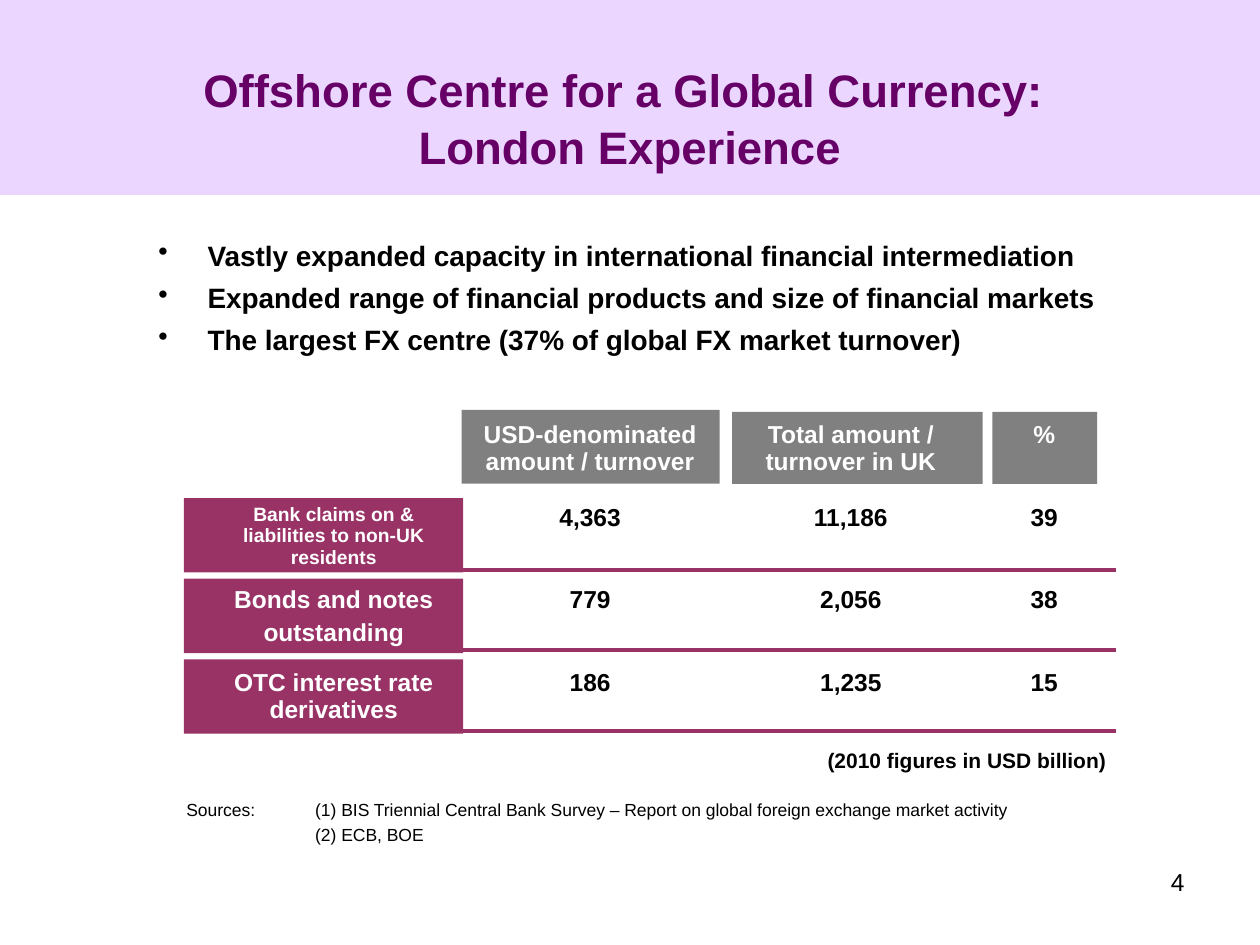
from dataclasses import dataclass

import lxml.etree
import pptx
import pptx.dml.color
import pptx.enum.shapes
import pptx.enum.text
import pptx.oxml
import pptx.oxml.ns
import pptx.util

Pt = pptx.util.Pt
Align = pptx.enum.text.PP_ALIGN
Anchor = pptx.enum.text.MSO_ANCHOR


@dataclass(frozen=True)
class Theme:
    font: str = "Arial"
    band: str = "CC99FF"
    title: str = "660066"
    header: str = "808080"
    accent: str = "993366"
    ink: str = "000000"
    paper: str = "FFFFFF"
    title_size: float = 26
    bullet_size: float = 16
    table_size: float = 14
    long_label_size: float = 11
    note_size: float = 12
    source_size: float = 10


@dataclass(frozen=True)
class Bar:
    left: float
    top: float
    width: float
    height: float
    color: str


@dataclass(frozen=True)
class Row:
    label: str
    values: tuple[str, str, str]
    label_size: float


THEME = Theme()
HEADERS = ("USD-denominated amount / turnover", "Total amount / turnover in UK", "%")
ROWS = (
    Row("Bank claims on & liabilities to non-UK residents",
        ("4,363", "11,186", "39"), THEME.long_label_size),
    Row("Bonds and notes\noutstanding", ("779", "2,056", "38"), THEME.table_size),
    Row("OTC interest rate derivatives", ("186", "1,235", "15"), THEME.table_size),
)
TABLE_LEFT, TABLE_TOP = 113, 236.9
COLUMN_WIDTHS = (155.5, 137.5, 160.5, 60.5)
ROW_HEIGHTS = (47.5, 46.8, 47.5, 46.8, 45.4)
LABEL_TOP, LABEL_PITCH = 284.6, 46.1
LABEL_HEIGHT = 42.5
RULE_DROP = 41
HANG_BULLET, HANG_SOURCE = 28, 73.6
NO_STYLE = "{2D5ABB26-0587-4C30-8999-92F81FD0307C}"


def rgb(color: str) -> pptx.dml.color.RGBColor:
    return pptx.dml.color.RGBColor.from_string(color)


def write(frame, text: str, *, size: float, color: str = THEME.ink, bold: bool = False,
          align=Align.LEFT, anchor=Anchor.TOP, space: float = 0, spacing: float = 1,
          hang: float = 0, bullet: bool = False) -> None:
    """Fill a text frame, one paragraph per line of text."""
    frame.word_wrap = True
    frame.vertical_anchor = anchor
    for index, line in enumerate(text.split("\n")):
        para = frame.add_paragraph() if index else frame.paragraphs[0]
        para.alignment = align
        para.line_spacing = spacing
        para.space_before = Pt(space if index else 0)
        if hang:
            properties = para._p.get_or_add_pPr()
            properties.set("marL", str(Pt(hang)))
            properties.set("indent", str(-Pt(hang)))
            if bullet:
                mark = lxml.etree.SubElement(properties, pptx.oxml.ns.qn("a:buChar"))
                mark.set("char", "•")
        para.text = line
        for span in para.runs:
            span.font.name = THEME.font
            span.font.size = Pt(size)
            span.font.bold = bold
            span.font.color.rgb = rgb(color)


def add_text(page, left: float, top: float, width: float, height: float,
             text: str, **style) -> None:
    box = page.shapes.add_textbox(Pt(left), Pt(top), Pt(width), Pt(height))
    write(box.text_frame, text, **style)


def add_bar(page, bar: Bar, opacity: int = 100) -> None:
    shape = page.shapes.add_shape(pptx.enum.shapes.MSO_SHAPE.RECTANGLE, Pt(bar.left),
                                  Pt(bar.top), Pt(bar.width), Pt(bar.height))
    shape.shadow.inherit = False
    shape.line.fill.background()
    shape.fill.solid()
    shape.fill.fore_color.rgb = rgb(bar.color)
    if opacity < 100:
        tint = next(shape._element.spPr.iter(pptx.oxml.ns.qn("a:srgbClr")))
        alpha = lxml.etree.SubElement(tint, pptx.oxml.ns.qn("a:alpha"))
        alpha.set("val", str(opacity * 1000))


def add_rule(page, left: float, right: float, top: float) -> None:
    rule = page.shapes.add_connector(pptx.enum.shapes.MSO_CONNECTOR.STRAIGHT,
                                     Pt(left), Pt(top), Pt(right), Pt(top))
    rule.line.color.rgb = rgb(THEME.accent)
    rule.line.width = Pt(2.25)
    lxml.etree.SubElement(rule._element.spPr, pptx.oxml.ns.qn("a:effectLst"))


def add_figures(page) -> None:
    graphic = page.shapes.add_table(len(ROW_HEIGHTS), len(COLUMN_WIDTHS), Pt(TABLE_LEFT),
                                    Pt(TABLE_TOP), Pt(sum(COLUMN_WIDTHS)),
                                    Pt(sum(ROW_HEIGHTS)))
    table = graphic.table
    table.first_row = table.horz_banding = False
    next(graphic._element.iter(pptx.oxml.ns.qn("a:tableStyleId"))).text = NO_STYLE
    for column, width in zip(table.columns, COLUMN_WIDTHS):
        column.width = Pt(width)
    for row, height in zip(table.rows, ROW_HEIGHTS):
        row.height = Pt(height)
    for cell in table.iter_cells():
        cell.fill.background()

    def fill_cell(row: int, column: int, text: str, color: str,
                  size: float = THEME.table_size) -> None:
        write(table.cell(row, column).text_frame, text, size=size, color=color,
              bold=True, align=Align.CENTER, space=3.5)

    for column, header in enumerate(HEADERS, 1):
        fill_cell(0, column, header, THEME.paper)
    for index, row in enumerate(ROWS, 1):
        fill_cell(index, 0, row.label, THEME.paper, row.label_size)
        for column, value in enumerate(row.values, 1):
            fill_cell(index, column, value, THEME.ink)


def main() -> None:
    deck = pptx.Presentation()
    deck.slide_width, deck.slide_height = Pt(720), Pt(540)
    page = deck.slides.add_slide(deck.slide_layouts[6])

    # Title band and the bars behind the table
    add_bar(page, Bar(0, 0, 720, 111.4, THEME.band), opacity=40)
    for bar in (Bar(567, 235.4, 60, 41.2, THEME.header),
                Bar(418.4, 235.4, 143.2, 41.2, THEME.header),
                Bar(263.8, 234.2, 147.5, 42.2, THEME.header)):
        add_bar(page, bar)
    label_tops = [LABEL_TOP + LABEL_PITCH * index for index in range(len(ROWS))]
    for top in label_tops:
        add_bar(page, Bar(105.1, top, 159.6, LABEL_HEIGHT, THEME.accent))

    # Title and key points
    add_text(page, 36, 21.6, 648, 90,
             "Offshore Centre for a Global Currency: \vLondon Experience",
             size=THEME.title_size, color=THEME.title, bold=True, align=Align.CENTER,
             anchor=Anchor.MIDDLE, spacing=1.05)
    add_text(page, 83.5, 131.8, 571.7, 85,
             "Vastly expanded capacity in international financial intermediation\n"
             "Expanded range of financial products and size of financial markets\n"
             "The largest FX centre (37% of global FX market turnover)",
             size=THEME.bullet_size, bold=True, space=4, spacing=1.05,
             hang=HANG_BULLET, bullet=True)

    # Figures with a rule under each row
    add_figures(page)
    for top in label_tops:
        add_rule(page, 262.5, 637.5, top + RULE_DROP)

    # Unit, sources and page number
    add_text(page, 465.8, 423.4, 186.5, 26, "(2010 figures in USD billion)",
             size=THEME.note_size, bold=True)
    add_text(page, 99.4, 452.9, 539.3, 44,
             "Sources:\t(1) BIS Triennial Central Bank Survey – Report on global foreign "
             "exchange market activity\n\t(2) ECB, BOE",
             size=THEME.source_size, space=2.5, hang=HANG_SOURCE)
    add_text(page, 516.2, 491.8, 167.8, 37.4, "4", size=THEME.table_size,
             align=Align.RIGHT)

    deck.save("out.pptx")


if __name__ == "__main__":
    main()
